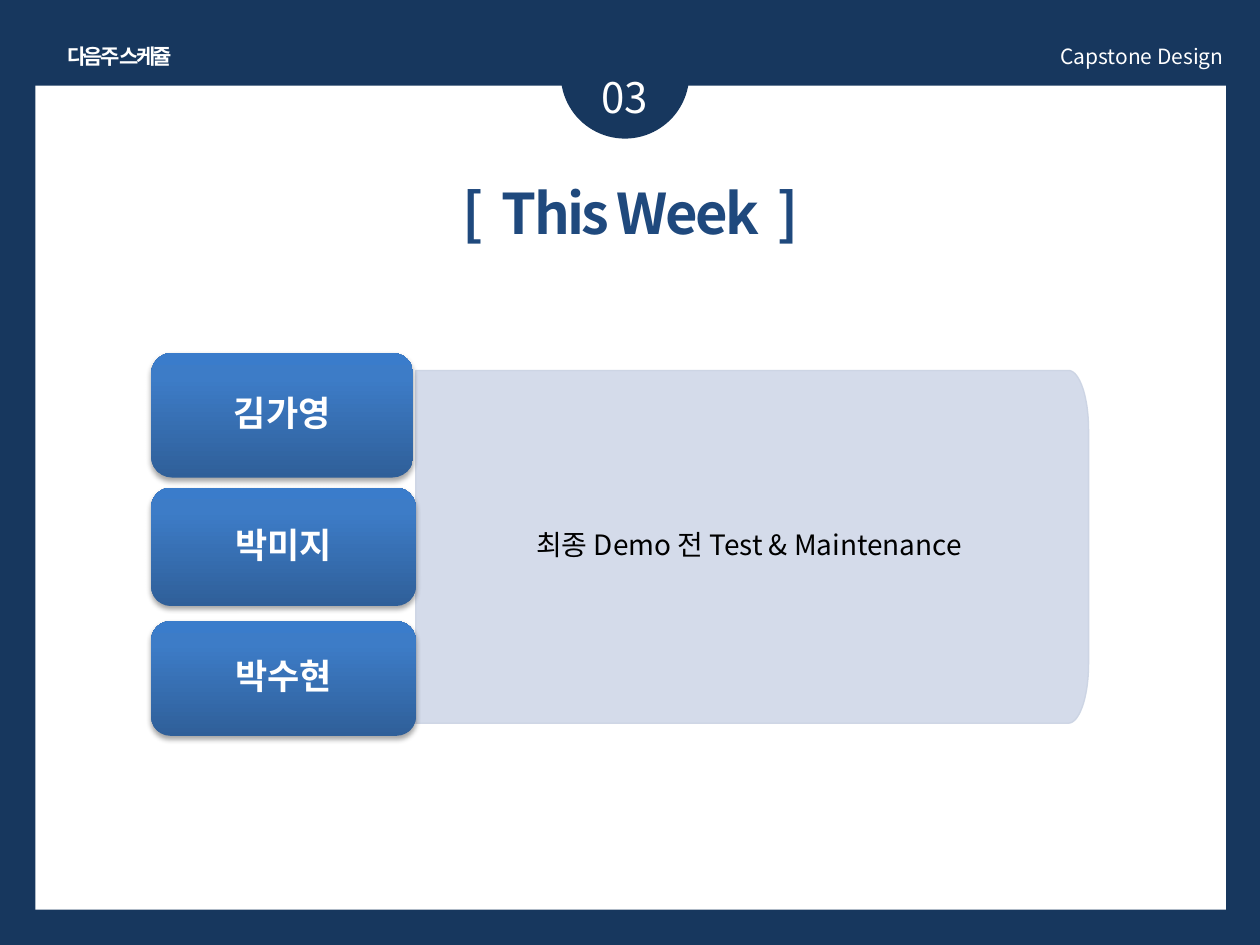
"""Build the weekly schedule slide of the capstone design deck."""
import math

import lxml.etree
import pptx
import pptx.dml.color
import pptx.enum.shapes
import pptx.enum.text
import pptx.oxml.ns
import pptx.util

Inches = pptx.util.Inches
Pt = pptx.util.Pt
qn = pptx.oxml.ns.qn
SHAPES = pptx.enum.shapes.MSO_SHAPE
ALIGN = pptx.enum.text.PP_ALIGN

THEME = {
    "font": "Noto Sans CJK KR",
    "navy": "17375E", "white": "FFFFFF", "title": "1F497D", "black": "000000",
    "panel": "D0D8E8", "panel_line": "CBD3E3", "panel_opacity": 90,
    "gradient": [(0, "2F5F99"), (80, "3D7CC7"), (100, "3A7CCB")],
    "label_size": 12, "task_size": 16, "name_size": 20, "number_size": 24, "title_size": 32,
}

FRAME = [
    (SHAPES.RECTANGLE, (0.28, 0.68, 9.45, 6.54), "white"),
    (SHAPES.OVAL, (4.45, 0.08, 1.02, 1.02), "navy"),
]
LABELS = [
    ("03", (4.37, 0.52, 1.18, 0.5), ALIGN.CENTER, "number_size", "white", False, 0, True),
    ("[  This Week  ]", (2.72, 1.37, 4.57, 0.64), ALIGN.CENTER, "title_size", "title", True, -1.5, True),
    ("Capstone Design", (5.87, 0.3, 3.94, 0.3), ALIGN.RIGHT, "label_size", "white", False, 0, True),
    ("다음주 스케쥴", (0.39, 0.3, 1.12, 0.3), ALIGN.CENTER, "label_size", "white", True, -1.5, False),
]
MEMBER_LEFT = 1.2
MEMBERS = [("김가영", 2.8, 2.08, 0.99), ("박미지", 3.87, 2.1, 0.94), ("박수현", 4.93, 2.1, 0.91)]
TASK = "최종 Demo 전 Test & Maintenance"
TASK_BOX = (3.3, 2.94, 5.34, 2.8)
TASK_CORNER = (0.16, 0.47)
ARC_STEPS = 24


def color(name):
    return pptx.dml.color.RGBColor.from_string(THEME[name])


def add_element(parent, tag, **attributes):
    element = lxml.etree.SubElement(parent, qn(tag))
    for key, value in attributes.items():
        element.set(key, str(value))
    return element


def add_text(shape, text, align, size, color_name, bold=False, spacing=0):
    paragraph = shape.text_frame.paragraphs[0]
    paragraph.alignment = align
    run = paragraph.add_run()
    run.text = text
    run.font.size = Pt(THEME[size])
    run.font.bold = bold
    run.font.name = THEME["font"]
    run.font.color.rgb = color(color_name)
    properties = run.font._element
    add_element(properties, "a:ea", typeface=THEME["font"])
    if spacing:
        properties.set("spc", str(int(spacing * 100)))
    return paragraph


def set_body(shape, horizontal, vertical, right=None):
    frame = shape.text_frame
    frame.word_wrap = True
    frame.vertical_anchor = pptx.enum.text.MSO_ANCHOR.MIDDLE
    frame.margin_left = Inches(horizontal)
    frame.margin_right = Inches(right or horizontal)
    frame.margin_top = frame.margin_bottom = Inches(vertical)


def add_plain_shape(slide, kind, box, fill):
    shape = slide.shapes.add_shape(kind, *map(Inches, box))
    shape.shadow.inherit = False
    shape.fill.solid()
    shape.fill.fore_color.rgb = color(fill)
    shape.line.fill.background()
    return shape


def add_label(slide, text, box, align, size, color_name, bold, spacing, wrap):
    shape = slide.shapes.add_textbox(*map(Inches, box))
    shape.text_frame.word_wrap = wrap
    shape.text_frame.auto_size = pptx.enum.text.MSO_AUTO_SIZE.SHAPE_TO_FIT_TEXT
    add_text(shape, text, align, size, color_name, bold, spacing)


def add_member(slide, name, top, width, height):
    shape = add_plain_shape(slide, SHAPES.ROUNDED_RECTANGLE, (MEMBER_LEFT, top, width, height), "navy")
    properties = shape._element.spPr
    gradient = lxml.etree.Element(qn("a:gradFill"), rotWithShape="1")
    stops = add_element(gradient, "a:gsLst")
    for position, value in THEME["gradient"]:
        add_element(add_element(stops, "a:gs", pos=position * 1000), "a:srgbClr", val=value)
    add_element(gradient, "a:lin", ang=270 * 60000, scaled=0)
    properties.replace(properties.find(qn("a:solidFill")), gradient)
    shadow = add_element(properties.find(qn("a:effectLst")), "a:outerShdw", blurRad=Pt(3.1),
                         dist=Pt(1.8), dir=90 * 60000, rotWithShape=0)
    shade = add_element(shadow, "a:srgbClr", val=THEME["black"])
    add_element(shade, "a:alpha", val=35000)
    set_body(shape, 0.08, 0.04)
    paragraph = add_text(shape, name, ALIGN.CENTER, "name_size", "white", True)
    paragraph.line_spacing = 0.9
    paragraph.space_after = Pt(7)


def add_task(slide):
    left, top, width, height = TASK_BOX
    radius_x, radius_y = TASK_CORNER
    right, bottom = left + width, top + height
    angles = [math.pi / 2 * step / ARC_STEPS for step in range(ARC_STEPS + 1)]
    upper = [(right - radius_x * (1 - math.sin(angle)), top + radius_y * (1 - math.cos(angle)))
             for angle in angles]
    lower = [(x, top + bottom - y) for x, y in reversed(upper)]
    outline = [(Inches(x), Inches(y)) for x, y in upper + lower + [(left, bottom)]]
    builder = slide.shapes.build_freeform(Inches(left), Inches(top))
    builder.add_line_segments(outline, close=True)
    shape = builder.convert_to_shape()
    shape.shadow.inherit = False
    shape.fill.solid()
    shape.fill.fore_color.rgb = color("panel")
    shape.line.width = Pt(0.75)
    shape.line.color.rgb = color("panel_line")
    for value in shape._element.spPr.iter(qn("a:srgbClr")):
        add_element(value, "a:alpha", val=THEME["panel_opacity"] * 1000)
    set_body(shape, 0.27, 0.18, 0.32)
    paragraph = add_text(shape, TASK, ALIGN.CENTER, "task_size", "black")
    paragraph.line_spacing = 0.9
    paragraph.space_after = Pt(2.4)


def main():
    presentation = pptx.Presentation()
    presentation.slide_width, presentation.slide_height = Inches(10), Inches(7.5)
    slide = presentation.slides.add_slide(presentation.slide_layouts[6])
    slide.background.fill.solid()
    slide.background.fill.fore_color.rgb = color("navy")
    for kind, box, fill in FRAME:
        add_plain_shape(slide, kind, box, fill)
    add_task(slide)
    for member in MEMBERS:
        add_member(slide, *member)
    for label in LABELS:
        add_label(slide, *label)
    presentation.save("out.pptx")


if __name__ == "__main__":
    main()
